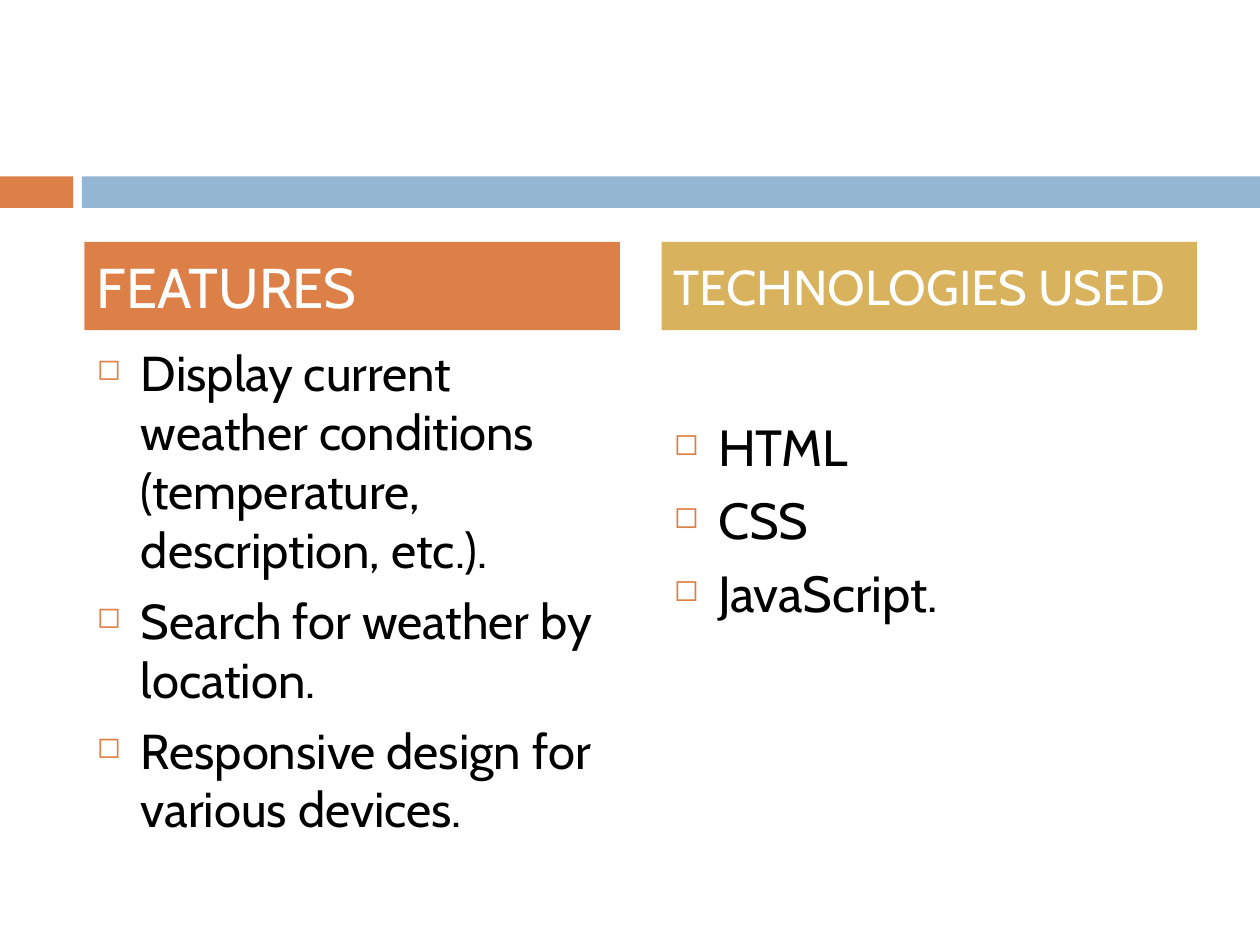
from lxml.etree import SubElement
from pptx import Presentation
from pptx.dml.color import RGBColor
from pptx.enum.shapes import MSO_SHAPE as SHAPE
from pptx.enum.text import MSO_ANCHOR as ANCHOR, PP_ALIGN as ALIGN
from pptx.oxml.ns import qn
from pptx.util import Inches, Pt

ORANGE = RGBColor(0xDD, 0x80, 0x47)
BLUE = RGBColor(0x94, 0xB6, 0xD2)
GOLD = RGBColor(0xD8, 0xB2, 0x5C)
WHITE = RGBColor(0xFF, 0xFF, 0xFF)
BLACK = RGBColor(0, 0, 0)
FONT = "Cabin"

COLUMNS = [
    dict(title="FEATURES", fill=ORANGE, title_size=32, size=28, top_inset=0.05,
         items=["Display current weather conditions (temperature, description, etc.).",
                "Search for weather by location.",
                "Responsive design for various devices."]),
    dict(title="TECHNOLOGIES USED", fill=GOLD, title_size=28, size=29, top_inset=0.63,
         items=["HTML", "CSS", "JavaScript."]),
]


def add_rect(slide, left, top, width, height, color):
    sp = slide.shapes.add_shape(SHAPE.RECTANGLE, Inches(left), Inches(top),
                                Inches(width), Inches(height))
    sp.shadow.inherit = False
    sp.fill.solid()
    sp.fill.fore_color.rgb = color
    sp.line.fill.background()
    return sp


def add_text(p, text, size, color):
    r = p.add_run()
    r.text = text
    for name, value in dict(name=FONT, size=Pt(size)).items():
        setattr(r.font, name, value)
    r.font.color.rgb = color


def add_bullet(p):
    pPr = p._p.get_or_add_pPr()
    pPr.set("marL", str(Inches(0.35)))
    pPr.set("indent", str(-Inches(0.35)))
    SubElement(SubElement(pPr, qn("a:buClr")), qn("a:srgbClr"), val=str(ORANGE))
    SubElement(pPr, qn("a:buSzPct"), val="60000")
    SubElement(pPr, qn("a:buChar"), char="◻")


def add_band(slide, left, top, width, height):
    """Orange tab and blue bar across the slide."""
    tab, gap = 0.58, 0.07
    add_rect(slide, left, top, tab, height, ORANGE)
    add_rect(slide, left + tab + gap, top, width - tab - gap, height, BLUE)


def add_column(slide, left, top, width, height, column):
    """Coloured heading with a bulleted list below it."""
    head, gap = 0.7, 0.05

    # Heading
    tf = add_rect(slide, left, top, width, head, column["fill"]).text_frame
    tf.word_wrap = True
    tf.vertical_anchor = ANCHOR.MIDDLE
    p = tf.paragraphs[0]
    p.alignment = ALIGN.LEFT
    add_text(p, column["title"], column["title_size"], WHITE)

    # Bulleted list
    tf = slide.shapes.add_textbox(Inches(left), Inches(top + head + gap), Inches(width),
                                  Inches(height - head - gap)).text_frame
    tf.word_wrap = True
    tf.margin_top = Inches(column["top_inset"])
    for i, item in enumerate(column["items"]):
        p = tf.add_paragraph() if i else tf.paragraphs[0]
        p.space_before = Pt(7 if i else 0)
        add_bullet(p)
        add_text(p, item, column["size"], BLACK)


def main():
    prs = Presentation()
    prs.slide_width, prs.slide_height = Inches(10), Inches(7.5)
    s = prs.slides.add_slide(prs.slide_layouts[6])
    add_band(s, 0, 1.4, 10, 0.25)
    for i, column in enumerate(COLUMNS):
        add_column(s, 0.67 + i * 4.58, 1.92, 4.25, 4.67, column)
    prs.save("out.pptx")


if __name__ == "__main__":
    main()
